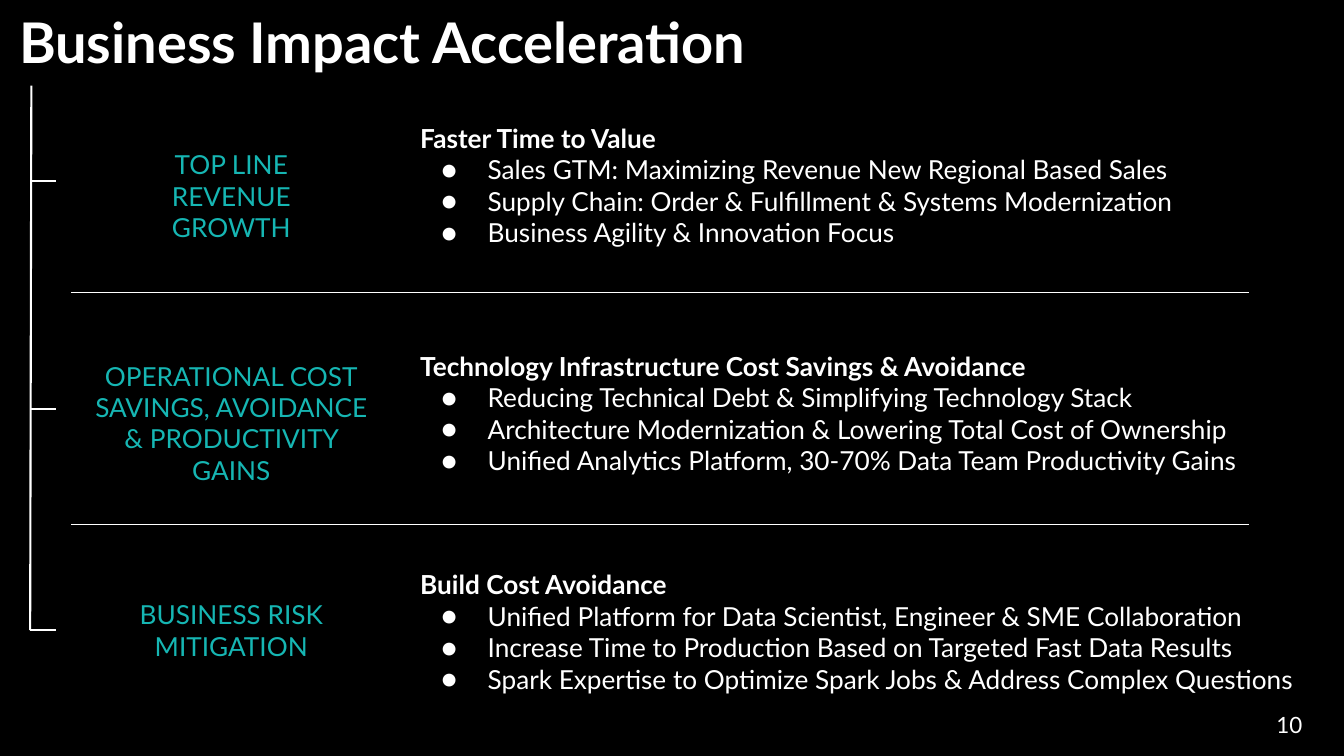
"""Build the Business Impact Acceleration slide."""
import pptx
import pptx.dml.color
import pptx.enum.shapes
import pptx.enum.text
import pptx.oxml.ns
import pptx.util
from lxml import etree

Cm, Pt = pptx.util.Cm, pptx.util.Pt
ALIGN = pptx.enum.text.PP_ALIGN
COLORS = {"background": "000000", "text": "FFFFFF", "label": "16B6B3"}
TITLE = "Business Impact Acceleration"
PAGE = "10"
SECTIONS = [
    {
        "label": ["TOP LINE REVENUE GROWTH"],
        "label_box": (3.56, 6.02, 2.49),
        "lines": [
            "Faster Time to Value",
            "Sales GTM: Maximizing Revenue New Regional Based Sales",
            "Supply Chain: Order & Fulfillment & Systems Modernization",
            "Business Agility & Innovation Focus",
        ],
        "list_box": (2.9, 23.42, 4.88),
        "tick": 4.55,
    },
    {
        "label": ["OPERATIONAL COST", "SAVINGS, AVOIDANCE & PRODUCTIVITY GAINS"],
        "label_box": (8.89, 8.05, 2.18),
        "lines": [
            "Technology Infrastructure Cost Savings & Avoidance",
            "Reducing Technical Debt & Simplifying Technology Stack",
            "Architecture Modernization & Lowering Total Cost of Ownership",
            "Unified Analytics Platform, 30-70% Data Team Productivity Gains",
        ],
        "list_box": (8.64, 23.8, 5.51),
        "tick": 10.31,
    },
    {
        "label": ["BUSINESS RISK", "MITIGATION"],
        "label_box": (14.91, 7.29, 1.93),
        "lines": [
            "Build Cost Avoidance",
            "Unified Platform for Data Scientist, Engineer & SME Collaboration",
            "Increase Time to Production Based on Targeted Fast Data Results",
            "Spark Expertise to Optimize Spark Jobs & Address Complex Questions",
        ],
        "list_box": (14.15, 24.21, 4.22),
        "tick": 15.88,
    },
]
DIVIDERS = [7.37, 13.21]
LABEL_CENTER, LIST_LEFT = 5.83, 10.26
SPINE_LEFT, SPINE_TOP, TICK_RIGHT = 0.76, 2.16, 1.4


def add_bullet(paragraph, shown):
    """Give a paragraph a hanging round bullet, or none."""
    props = paragraph._p.get_or_add_pPr()
    props.set("marL", str(Cm(1.7) if shown else 0))
    props.set("indent", str(Cm(-1.17) if shown else 0))
    qn = pptx.oxml.ns.qn
    if shown:
        tint = etree.SubElement(props, qn("a:buClr"))
        etree.SubElement(tint, qn("a:srgbClr"), val=COLORS["text"])
        etree.SubElement(props, qn("a:buFont"), typeface="Lato")
        etree.SubElement(props, qn("a:buChar"), char="●")
    else:
        etree.SubElement(props, qn("a:buNone"))


def write(holder, lines, box, size=18.7, color="text", align=ALIGN.LEFT,
          bold_first=False, bullets=False, margin_y=0.18):
    """Place a text holder and fill it with formatted paragraphs."""
    holder.left, holder.top, holder.width, holder.height = map(Cm, box)
    frame = holder.text_frame
    frame.word_wrap = True
    frame.auto_size = pptx.enum.text.MSO_AUTO_SIZE.NONE
    frame.vertical_anchor = pptx.enum.text.MSO_ANCHOR.TOP
    frame.margin_left = frame.margin_right = Cm(0.33)
    frame.margin_top = frame.margin_bottom = Cm(margin_y)
    for index, line in enumerate(lines):
        paragraph = frame.add_paragraph() if index else frame.paragraphs[0]
        add_bullet(paragraph, bullets and index > 0)
        paragraph.alignment = align
        paragraph.space_before = Pt(0)
        run = paragraph.add_run()
        run.text = line
        run.font.name = "Lato"
        run.font.size = Pt(size)
        run.font.bold = bold_first and index == 0
        run.font.color.rgb = pptx.dml.color.RGBColor.from_string(COLORS[color])


def draw_line(slide, start, end, weight):
    """Draw a straight line between two points."""
    line = slide.shapes.add_connector(
        pptx.enum.shapes.MSO_CONNECTOR.STRAIGHT, *map(Cm, start + end))
    line.line.color.rgb = pptx.dml.color.RGBColor.from_string(COLORS["text"])
    line.line.width = Pt(weight)
    etree.SubElement(line._element.spPr, pptx.oxml.ns.qn("a:effectLst"))


def main():
    """Assemble and save the slide."""
    deck = pptx.Presentation()
    deck.slide_width, deck.slide_height = Cm(33.87), Cm(19.05)
    slide = deck.slides.add_slide(deck.slide_layouts.get_by_name("Comparison"))
    fill = slide.background.fill
    fill.solid()
    fill.fore_color.rgb = pptx.dml.color.RGBColor.from_string(COLORS["background"])

    title, *bodies, spare = slide.placeholders
    spare._element.getparent().remove(spare._element)
    write(title, [TITLE], (0.15, -0.13, 35.53, 2.18), size=40, bold_first=True,
          margin_y=0.33)

    for section, body in zip(SECTIONS, bodies):
        write(body, section["lines"], (LIST_LEFT, *section["list_box"]),
              bold_first=True, bullets=True)
        top, width, height = section["label_box"]
        label = slide.shapes.add_textbox(0, 0, 0, 0)
        write(label, section["label"],
              (LABEL_CENTER - width / 2, top, width, height),
              color="label", align=ALIGN.CENTER)
        tick = section["tick"]
        draw_line(slide, (SPINE_LEFT, tick), (TICK_RIGHT, tick), 1.5)

    draw_line(slide, (SPINE_LEFT + 0.03, SPINE_TOP),
              (SPINE_LEFT, SECTIONS[-1]["tick"]), 1.5)
    for divider in DIVIDERS:
        draw_line(slide, (1.8, divider), (31.47, divider), 0.75)

    page_number = slide.shapes.add_textbox(0, 0, 0, 0)
    write(page_number, [PAGE], (31.27, 17.73, 1.88, 1.02), size=16,
          align=ALIGN.RIGHT)
    deck.save("out.pptx")


if __name__ == "__main__":
    main()
